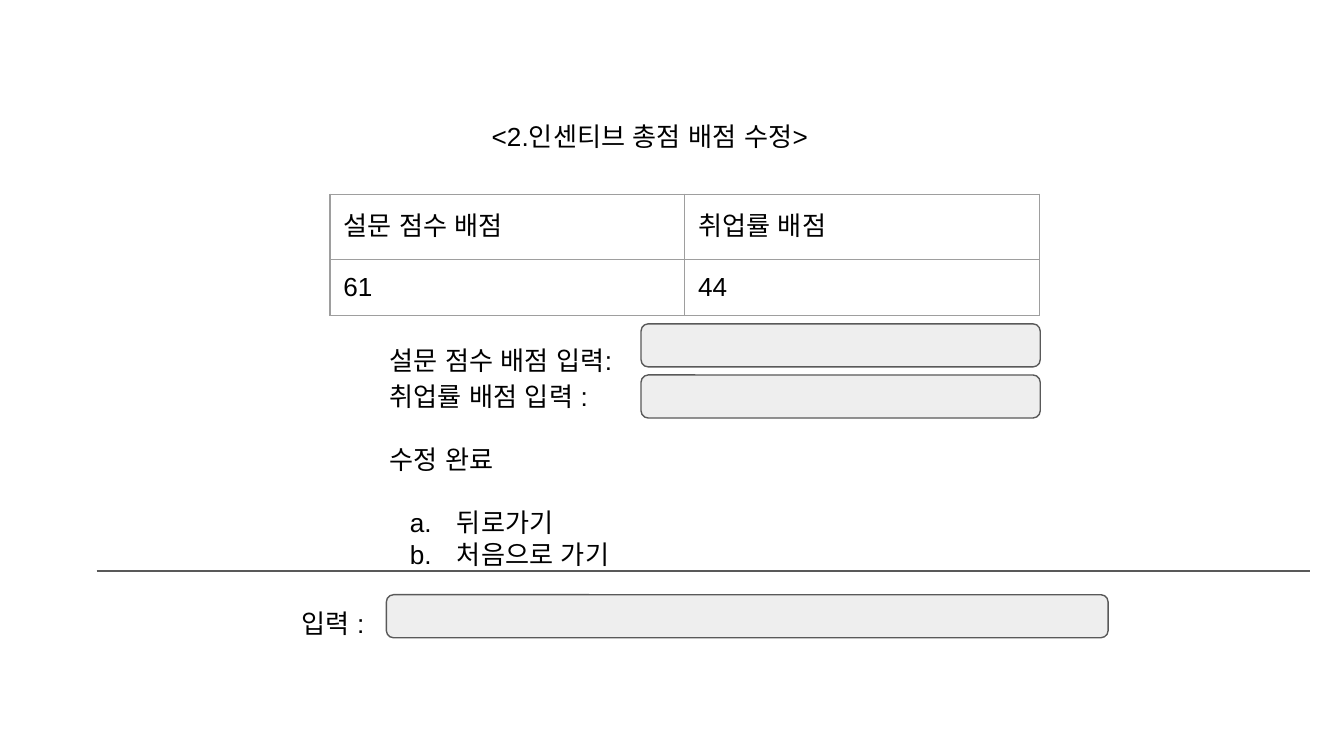
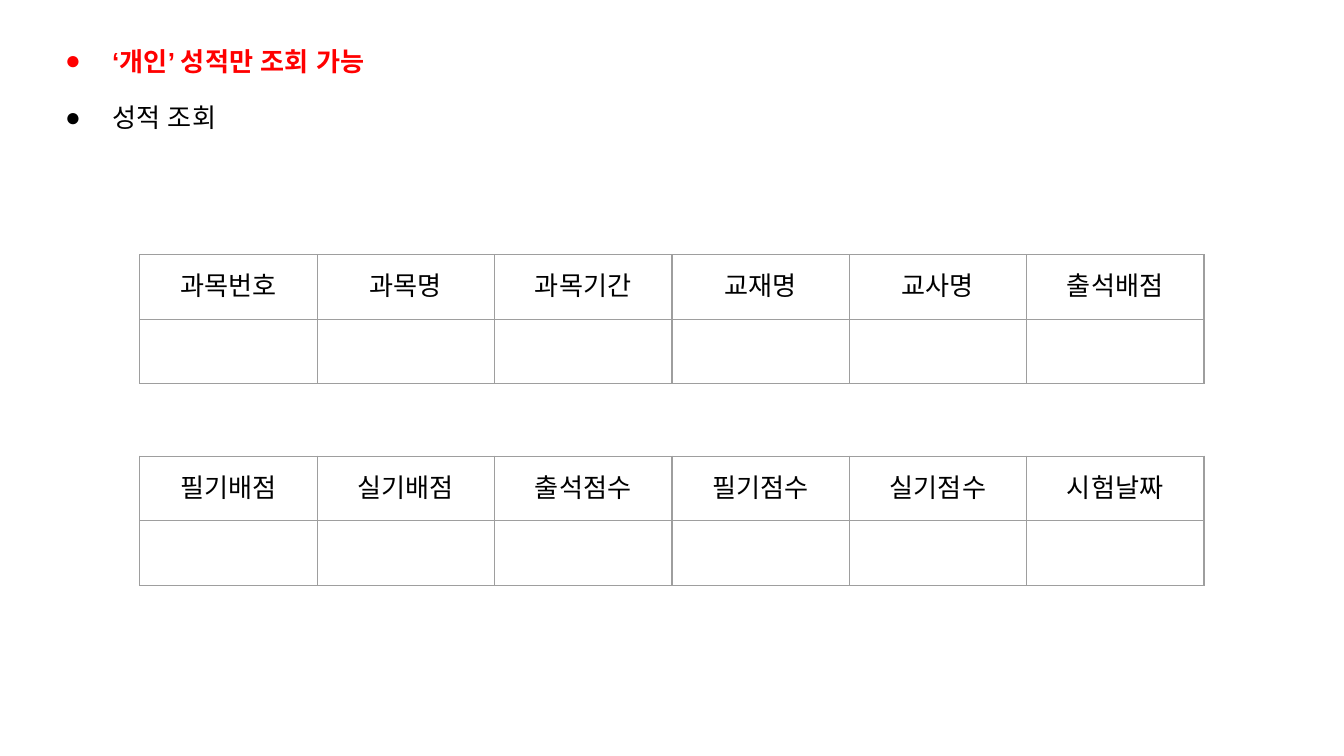
import dataclasses

import lxml.etree
import pptx
import pptx.dml.color
import pptx.enum.shapes
import pptx.enum.text
import pptx.oxml.ns
import pptx.util

PX = 4572  # EMU in one px, 200 px to the inch
ALIGN = pptx.enum.text.PP_ALIGN
ANCHOR = pptx.enum.text.MSO_ANCHOR
SHAPE = pptx.enum.shapes.MSO_SHAPE


@dataclasses.dataclass(frozen=True)
class Theme:
    font: str = "Arial"
    size: int = 14
    text: str = "000000"
    warning: str = "FF0000"
    field: str = "EEEEEE"
    line: str = "595959"
    border: str = "9E9E9E"
    line_width: float = 0.75
    inset: int = 20
    list_indent: int = 100
    list_hanging: int = 70


def color(value):
    return pptx.dml.color.RGBColor.from_string(value)


def add_xml(parent, tag, **attributes):
    return lxml.etree.SubElement(parent, pptx.oxml.ns.qn(tag), **attributes)


def write(paragraph, text, theme, text_color=None, bold=False, align=ALIGN.LEFT,
          line_spacing=1.0, space_before=0):
    """Put one formatted run into a paragraph."""
    paragraph.alignment = align
    paragraph.line_spacing = line_spacing
    paragraph.space_before = pptx.util.Pt(space_before)
    run = paragraph.add_run()
    run.text = text
    font = run.font
    font.name, font.size, font.bold = theme.font, pptx.util.Pt(theme.size), bold
    font.color.rgb = color(text_color or theme.text)
    add_xml(run._r.get_or_add_rPr(), "a:ea", typeface=theme.font)


class Deck:
    def __init__(self, theme, width, height):
        self.theme = theme
        self.presentation = pptx.Presentation()
        self.presentation.slide_width = width * PX
        self.presentation.slide_height = height * PX
        self.slide = None

    def new_slide(self):
        layout = self.presentation.slide_layouts.get_by_name("Title and Content")
        self.slide = self.presentation.slides.add_slide(layout)

    def remove_empty_placeholders(self):
        for shape in list(self.slide.placeholders):
            if not shape.text_frame.text:
                shape.element.getparent().remove(shape.element)

    def set_margins(self, target):
        inset = self.theme.inset * PX
        target.margin_left = target.margin_right = inset
        target.margin_top = target.margin_bottom = inset

    def fill_frame(self, shape, box, lines):
        """Place a text shape and write (text, format) lines into it."""
        shape.left, shape.top, shape.width, shape.height = (n * PX for n in box)
        frame = shape.text_frame
        frame.word_wrap = True
        frame.auto_size = pptx.enum.text.MSO_AUTO_SIZE.NONE
        frame.vertical_anchor = ANCHOR.TOP
        self.set_margins(frame)
        for index, (text, style) in enumerate(lines):
            paragraph = frame.add_paragraph() if index else frame.paragraphs[0]
            write(paragraph, text, self.theme, **style)
        return frame

    def title(self, text, box):
        self.fill_frame(self.slide.shapes.title, box, [(text, {"align": ALIGN.CENTER})])

    def text(self, box, lines):
        shape = self.slide.shapes.add_textbox(0, 0, 0, 0)
        self.fill_frame(shape, box, lines)

    def bullets(self, box, lines, tag, **marker):
        frame = self.fill_frame(self.slide.placeholders[1], box, lines)
        for paragraph, (_, style) in zip(frame.paragraphs, lines):
            properties = paragraph._p.get_or_add_pPr()
            properties.set("marL", str(self.theme.list_indent * PX))
            properties.set("indent", str(-self.theme.list_hanging * PX))
            bullet_color = add_xml(properties, "a:buClr")
            add_xml(bullet_color, "a:srgbClr", val=style.get("text_color", self.theme.text))
            add_xml(properties, "a:buFont", typeface=self.theme.font)
            add_xml(properties, tag, **marker)

    def field(self, left, top, width, height=64):
        shape = self.slide.shapes.add_shape(
            SHAPE.ROUNDED_RECTANGLE, left * PX, top * PX, width * PX, height * PX)
        shape.shadow.inherit = False
        shape.fill.solid()
        shape.fill.fore_color.rgb = color(self.theme.field)
        self.outline(shape)

    def outline(self, shape):
        shape.line.color.rgb = color(self.theme.line)
        shape.line.width = pptx.util.Pt(self.theme.line_width)

    def rule(self, left, right, y):
        connector = self.slide.shapes.add_connector(
            pptx.enum.shapes.MSO_CONNECTOR.STRAIGHT, left * PX, y * PX, right * PX, y * PX)
        self.outline(connector)
        add_xml(connector.element.spPr, "a:effectLst")

    def table(self, left, top, column_width, row_heights, rows, align=ALIGN.LEFT):
        columns = len(rows[0])
        table = self.slide.shapes.add_table(
            len(rows), columns, left * PX, top * PX,
            columns * column_width * PX, sum(row_heights) * PX).table
        table.first_row = table.horz_banding = False
        for column in table.columns:
            column.width = column_width * PX
        for row, height, texts in zip(table.rows, row_heights, rows):
            row.height = height * PX
            for cell, text in zip(row.cells, texts):
                self.format_cell(cell)
                write(cell.text_frame.paragraphs[0], text, self.theme, align=align)

    def format_cell(self, cell):
        self.set_margins(cell)
        cell.vertical_anchor = ANCHOR.MIDDLE
        properties = cell._tc.get_or_add_tcPr()
        width = str(pptx.util.Pt(self.theme.line_width))
        for side in ("a:lnL", "a:lnR", "a:lnT", "a:lnB"):
            fill = add_xml(add_xml(properties, side, w=width), "a:solidFill")
            add_xml(fill, "a:srgbClr", val=self.theme.border)
        cell.fill.background()


def build_score_edit(deck):
    deck.new_slide()
    deck.title("<2.인센티브 총점 배점 수정>", (560, 159, 814, 154))

    # Current scores
    deck.table(491, 289, 528, (97, 84), [("설문 점수 배점", "취업률 배점"), ("61", "44")])

    # New scores
    deck.text((560, 485, 394, 250), [
        ("설문 점수 배점 입력:", {"line_spacing": 1.15}),
        ("취업률 배점 입력 :", {"line_spacing": 1.15}),
        ("수정 완료", {"space_before": 17}),
    ])
    for row in range(2):
        deck.field(954, 482 + 76 * row, 594)

    # Menu choices
    deck.bullets((560, 734, 814, 134), [("뒤로가기", {}), ("처음으로 가기", {})],
                 "a:buAutoNum", type="alphaLcPeriod")

    # Input line
    deck.rule(144, 1950, 850)
    deck.text((429, 861, 1414, 88), [("입력 :", {"line_spacing": 1.5})])
    deck.field(575, 885, 1074)


def build_grade_lookup(deck):
    deck.new_slide()
    deck.bullets((47, 47, 582, 182), [
        ("‘개인’ 성적만 조회 가능", {"text_color": deck.theme.warning, "bold": True}),
        ("성적 조회", {"space_before": 13.5}),
    ], "a:buChar", char="●")

    # Subject and score columns, each with an empty row
    headings = (
        ("과목번호", "과목명", "과목기간", "교재명", "교사명", "출석배점"),
        ("필기배점", "실기배점", "출석점수", "필기점수", "실기점수", "시험날짜"),
    )
    for index, names in enumerate(headings):
        deck.table(208, 379 + 300 * index, 264, (96, 96),
                   [names, ("",) * len(names)], align=ALIGN.CENTER)
    deck.remove_empty_placeholders()


def main():
    deck = Deck(Theme(), 2000, 1125)
    build_score_edit(deck)
    build_grade_lookup(deck)
    deck.presentation.save("out.pptx")


if __name__ == "__main__":
    main()
